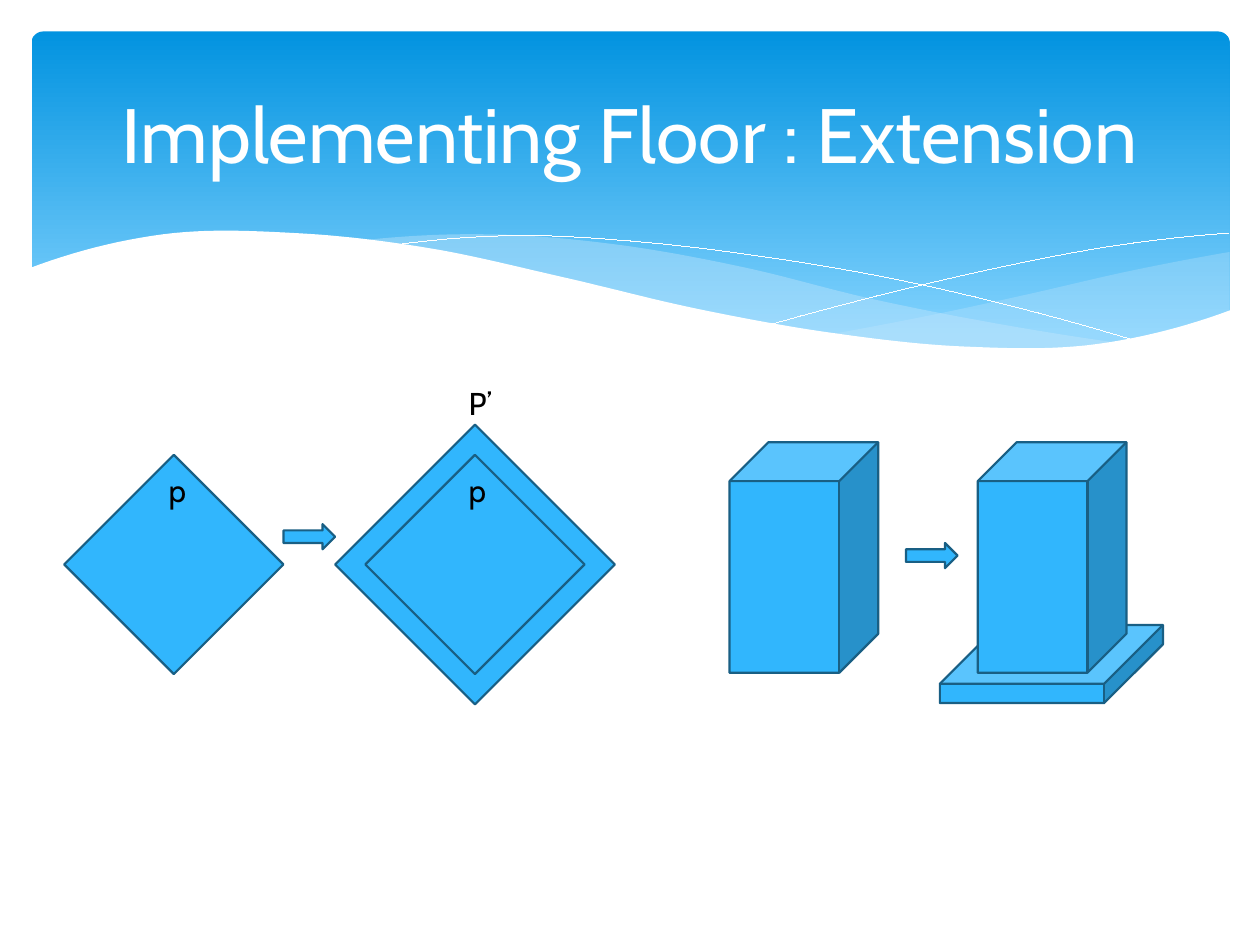
from lxml import etree
from pptx import Presentation
from pptx.dml.color import RGBColor
from pptx.enum.shapes import MSO_SHAPE as Shape
from pptx.enum.text import MSO_ANCHOR as Anchor, PP_ALIGN as Align
from pptx.oxml.ns import qn
from pptx.util import Inches, Pt

WHITE = RGBColor(0xFF, 0xFF, 0xFF)
BLACK = RGBColor(0, 0, 0)
SKY_TOP = RGBColor(0x02, 0x93, 0xE0)
SKY_BOTTOM = RGBColor(0x83, 0xD3, 0xFE)
WAVE_TINT = RGBColor(0xC6, 0xE7, 0xFC)
SOLID_BLUE = RGBColor(0x31, 0xB6, 0xFD)
OUTLINE = RGBColor(0x19, 0x5F, 0x84)
STEPS_PER_SPAN = 12

prs = Presentation()
prs.slide_width, prs.slide_height = Inches(10), Inches(7.5)
slide = prs.slides.add_slide(prs.slide_layouts[6])
shapes = slide.shapes


def smooth_curve(left, right, heights):
    """Sample a Catmull-Rom spline through heights spaced evenly from left to right."""
    before = 3 * (heights[0] - heights[1]) + heights[2]
    after = 3 * (heights[-1] - heights[-2]) + heights[-3]
    knots = [before, *heights, after]
    spans = len(heights) - 1
    points = []
    for step in range(spans * STEPS_PER_SPAN + 1):
        span = min(step // STEPS_PER_SPAN, spans - 1)
        t = step / STEPS_PER_SPAN - span
        a, b, c, d = knots[span:span + 4]
        y = b + t / 2 * (c - a + t * (2 * a - 5 * b + 4 * c - d + t * (3 * (b - c) + d - a)))
        x = left + (right - left) * step / (spans * STEPS_PER_SPAN)
        points.append((x, y))
    return points


def add_solid(kind, left, top, width, height, adjustment=None):
    """Add a blue outlined preset shape, placed in inches."""
    solid = shapes.add_shape(kind, Inches(left), Inches(top), Inches(width), Inches(height))
    solid.shadow.inherit = False
    solid.fill.solid()
    solid.fill.fore_color.rgb = SOLID_BLUE
    solid.line.color.rgb = OUTLINE
    solid.line.width = Pt(1.25)
    if adjustment is not None:
        solid.adjustments[0] = adjustment


# Header banner
banner = shapes.add_shape(Shape.ROUNDED_RECTANGLE, Inches(0.25), Inches(0.25), Inches(9.51), Inches(2.7))
banner.adjustments[0] = 0.034
banner.shadow.inherit = False
banner.line.fill.background()
banner.fill.gradient()
banner.fill.gradient_angle = 270
for stop, position, color in zip(banner.fill.gradient_stops, (0, 0.9), (SKY_TOP, SKY_BOTTOM)):
    stop.position = position
    stop.color.rgb = color

# Waves: left, right, heights of the upper edge, heights of the lower edge, fill, opacity in percent
# A wave without a lower edge is a bare white line
waves = [
    (6.61, 9.76, [2.65, 2.5, 2.33, 2.15, 2], [2.65, 2.74, 2.78, 2.7, 2.47], WAVE_TINT, 29),
    (2.86, 8.93, [1.91, 1.86, 1.94, 2.12, 2.37, 2.57, 2.73],
     [1.91, 2.08, 2.31, 2.53, 2.69, 2.78, 2.73], WAVE_TINT, 40),
    (3.09, 9.07, [1.95, 1.87, 1.92, 2.04, 2.21, 2.44, 2.72], None, None, 100),
    (6.13, 9.75, [2.57, 2.33, 2.12, 1.95, 1.85], None, None, 100),
    (0.23, 9.77, [2.13, 1.86, 1.85, 1.97, 2.2, 2.45, 2.64, 2.75, 2.73, 2.46],
     [3.29, 3.29, 3.29], WHITE, 100),
]
for left, right, upper, lower, color, opacity in waves:
    edge = smooth_curve(left, right, upper)
    if lower:
        edge += reversed(smooth_curve(left, right, lower))
    start, *rest = [(Inches(x), Inches(y)) for x, y in edge]
    builder = shapes.build_freeform(*start)
    builder.add_line_segments(rest, close=bool(lower))
    wave = builder.convert_to_shape()
    wave.shadow.inherit = False
    if not lower:
        wave.fill.background()
        wave.line.color.rgb = WHITE
        wave.line.width = Pt(0.01)
        continue
    wave.line.fill.background()
    wave.fill.solid()
    wave.fill.fore_color.rgb = color
    if opacity < 100:
        rgb = wave._element.spPr.find(qn("a:solidFill")).find(qn("a:srgbClr"))
        etree.SubElement(rgb, qn("a:alpha")).set("val", str(opacity * 1000))

# Floor plan: polygon p, then p inside its extension P’
polygon_side, margin, polygon_top = 1.74, 0.24, 3.61
plain_left, extended_left = 0.51, 2.9
extension_side = polygon_side + 2 * margin
add_solid(Shape.FLOWCHART_DECISION, extended_left - margin, polygon_top - margin,
          extension_side, extension_side)
for left in (plain_left, extended_left):
    add_solid(Shape.FLOWCHART_DECISION, left, polygon_top, polygon_side, polygon_side)

# Building: a block, then the same block standing on its floor slab
add_solid(Shape.CUBE, 7.46, 4.96, 1.77, 0.62, 0.752)
for left in (5.79, 7.76):
    add_solid(Shape.CUBE, left, 3.51, 1.18, 1.83, 0.262)

# Arrows from before to after
for left, top in [(2.25, 4.16), (7.19, 4.31)]:
    add_solid(Shape.RIGHT_ARROW, left, top, 0.41, 0.2)

# Title and polygon labels
title_style = (44, WHITE, Align.CENTER, Anchor.MIDDLE)
label_style = (18, BLACK, Align.LEFT, Anchor.TOP)
texts = [
    ("Implementing Floor : Extension", 0.5, 0.37, 9, 1.37, title_style),
    ("p", 1.24, 3.69, 0.29, 0.37, label_style),
    ("P’", 3.62, 3, 0.51, 0.4, label_style),
    ("p", 3.62, 3.69, 0.29, 0.37, label_style),
]
for wording, left, top, width, height, (size, color, align, anchor) in texts:
    box = shapes.add_textbox(Inches(left), Inches(top), Inches(width), Inches(height))
    frame = box.text_frame
    frame.word_wrap = True
    frame.vertical_anchor = anchor
    paragraph = frame.paragraphs[0]
    paragraph.text = wording
    paragraph.alignment = align
    paragraph.font.name = "Cabin"
    paragraph.font.size = Pt(size)
    paragraph.font.color.rgb = color

prs.save("out.pptx")
